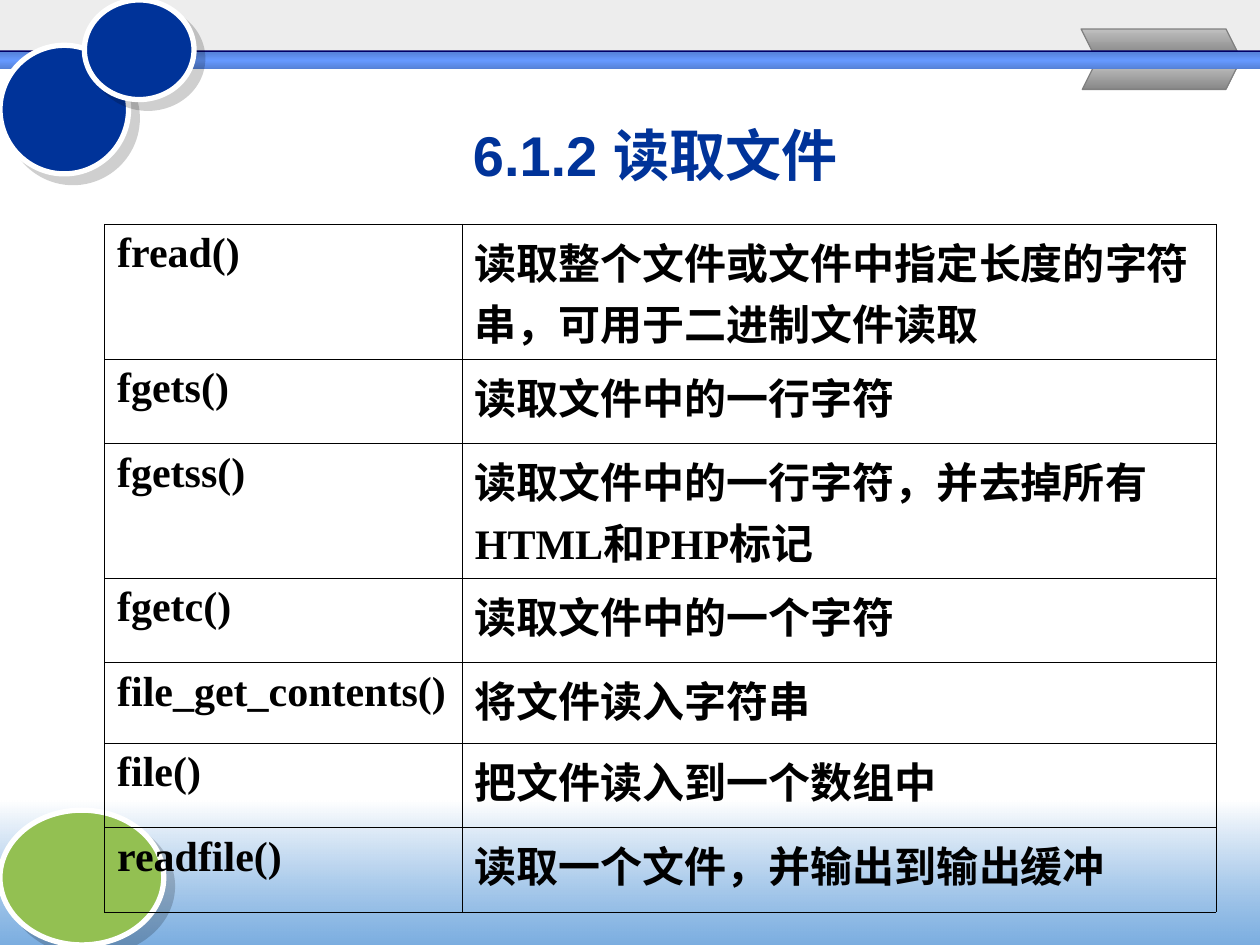
from lxml.etree import SubElement
from pptx import Presentation
from pptx.dml.color import RGBColor
from pptx.enum.shapes import MSO_SHAPE
from pptx.enum.text import MSO_ANCHOR, PP_ALIGN
from pptx.oxml import parse_xml
from pptx.oxml.ns import nsdecls, qn
from pptx.util import Inches, Pt

BLACK = RGBColor(0x00, 0x00, 0x00)
WHITE = RGBColor(0xFF, 0xFF, 0xFF)
NAVY = RGBColor(0x00, 0x33, 0x99)
DARK = RGBColor(0x00, 0x00, 0x66)
GREEN = RGBColor(0x93, 0xC0, 0x52)
PALE = RGBColor(0xEA, 0xEA, 0xEA)
GRAY = RGBColor(0x80, 0x80, 0x80)
SILVER = RGBColor(0xC0, 0xC0, 0xC0)
STEEL = RGBColor(0x87, 0x87, 0x87)
SKY = RGBColor(0x5E, 0x9C, 0xDA)
BLUE = RGBColor(0x66, 0x99, 0xFF)
MID_BLUE = RGBColor(0x55, 0x80, 0xD5)

TITLE = "6.1.2 读取文件"
FUNCTIONS = [
    ("fread()", "读取整个文件或文件中指定长度的字符串，可用于二进制文件读取", 1.07),
    ("fgets()", "读取文件中的一行字符", 0.67),
    ("fgetss()", "读取文件中的一行字符，并去掉所有HTML和PHP标记", 1.07),
    ("fgetc()", "读取文件中的一个字符", 0.67),
    ("file_get_contents()", "将文件读入字符串", 0.64),
    ("file()", "把文件读入到一个数组中", 0.67),
    ("readfile()", "读取一个文件，并输出到输出缓冲", 0.67),
]
COLUMNS = [2.84, 5.98]
BANDS = [
    (0, 0.52, [(PALE, 81)]),
    (6.35, 1.15, [(WHITE, 100), (SKY, 81)]),
]
STRIPES = [
    (0.4, 0.14, [(DARK, 100)]),
    (0.41, 0.14, [(MID_BLUE, 100), (BLUE, 100), (MID_BLUE, 100)]),
]
RIBBONS = [
    [(9.73, 0.23), (9.83, 0.43), (8.68, 0.43), (8.58, 0.23)],
    [(9.73, 0.71), (9.83, 0.51), (8.69, 0.51), (8.59, 0.71)],
]
CIRCLES = [
    (0, 6.43, 1.3, 1.07, GREEN),
    (0, 0.36, 1.02, 1.02, NAVY),
    (0.67, 0, 0.87, 0.79, NAVY),
]


def color_xml(color, alpha):
    return f'<a:srgbClr val="{color}"><a:alpha val="{alpha * 1000}"/></a:srgbClr>'


def paint(sp, stops):
    sp.shadow.inherit = False
    if len(stops) == 1:
        xml = f'<a:solidFill {nsdecls("a")}>{color_xml(*stops[0])}</a:solidFill>'
    else:
        step = 100000 // (len(stops) - 1)
        items = "".join(f'<a:gs pos="{i * step}">{color_xml(*stop)}</a:gs>'
                        for i, stop in enumerate(stops))
        xml = (f'<a:gradFill {nsdecls("a")} rotWithShape="1"><a:gsLst>{items}</a:gsLst>'
               '<a:lin ang="5400000" scaled="0"/></a:gradFill>')
    geometry = sp._element.spPr.find(qn("a:prstGeom"))
    if geometry is None:
        geometry = sp._element.spPr.find(qn("a:custGeom"))
    geometry.addnext(parse_xml(xml))


def outline(sp, color, width):
    sp.line.color.rgb = color
    sp.line.width = Pt(width)


def add_band(shapes, top, height, stops):
    sp = shapes.add_shape(MSO_SHAPE.RECTANGLE, 0, Inches(top), Inches(10), Inches(height))
    sp.line.fill.background()
    paint(sp, stops)


def add_ribbon(shapes, points):
    start, *rest = [(Inches(x), Inches(y)) for x, y in points]
    builder = shapes.build_freeform(*start)
    builder.add_line_segments(rest, close=True)
    sp = builder.convert_to_shape()
    outline(sp, GRAY, 0.75)
    paint(sp, [(SILVER, 100), (STEEL, 100)])


def add_circle(shapes, left, top, width, height, color):
    sp = shapes.add_shape(MSO_SHAPE.OVAL, Inches(left), Inches(top), Inches(width), Inches(height))
    outline(sp, WHITE, 3)
    paint(sp, [(color, 100)])
    effects = sp._element.spPr.find(qn("a:effectLst"))
    effects.append(parse_xml(
        f'<a:outerShdw {nsdecls("a")} dist="{Pt(7.1)}" dir="2700000" algn="ctr" '
        f'rotWithShape="0">{color_xml(BLACK, 19)}</a:outerShdw>'))


def write(tf, text, size=24, font="Times New Roman", color=BLACK, align=PP_ALIGN.LEFT):
    tf.word_wrap = True
    p = tf.paragraphs[0]
    p.alignment = align
    r = p.add_run()
    r.text = text
    r.font.size = Pt(size)
    r.font.name = font
    r.font.bold = True
    r.font.color.rgb = color


def add_borders(cell):
    props = cell._tc.get_or_add_tcPr()
    for i, side in enumerate(("lnL", "lnR", "lnT", "lnB")):
        line = parse_xml(f'<a:{side} {nsdecls("a")} w="{Pt(0.45)}"/>')
        fill = SubElement(line, qn("a:solidFill"))
        SubElement(fill, qn("a:srgbClr"), val=str(BLACK))
        props.insert(i, line)


def add_function_table(shapes):
    heights = [height for *_, height in FUNCTIONS]
    table = shapes.add_table(len(FUNCTIONS), len(COLUMNS), Inches(0.83), Inches(1.78),
                             Inches(sum(COLUMNS)), Inches(sum(heights))).table
    table.first_row = False
    table.horz_banding = False
    for column, width in zip(table.columns, COLUMNS):
        column.width = Inches(width)
    for row, (name, purpose, height) in zip(table.rows, FUNCTIONS):
        row.height = Inches(height)
        for cell, text in zip(row.cells, (name, purpose)):
            cell.fill.background()
            add_borders(cell)
            write(cell.text_frame, text)


def main():
    prs = Presentation()
    prs.slide_width, prs.slide_height = Inches(10), Inches(7.5)
    s = prs.slides.add_slide(prs.slide_layouts[6])
    for band in BANDS:
        add_band(s.shapes, *band)
    for points in RIBBONS:
        add_ribbon(s.shapes, points)
    green, *blues = CIRCLES
    add_circle(s.shapes, *green)
    for stripe in STRIPES:
        add_band(s.shapes, *stripe)
    for circle in blues:
        add_circle(s.shapes, *circle)
    tf = s.shapes.add_textbox(Inches(1.38), Inches(0.84), Inches(7.64), Inches(0.77)).text_frame
    tf.vertical_anchor = MSO_ANCHOR.MIDDLE
    write(tf, TITLE, size=32, font="Arial", color=NAVY, align=PP_ALIGN.CENTER)
    add_function_table(s.shapes)
    prs.save("out.pptx")


if __name__ == "__main__":
    main()
